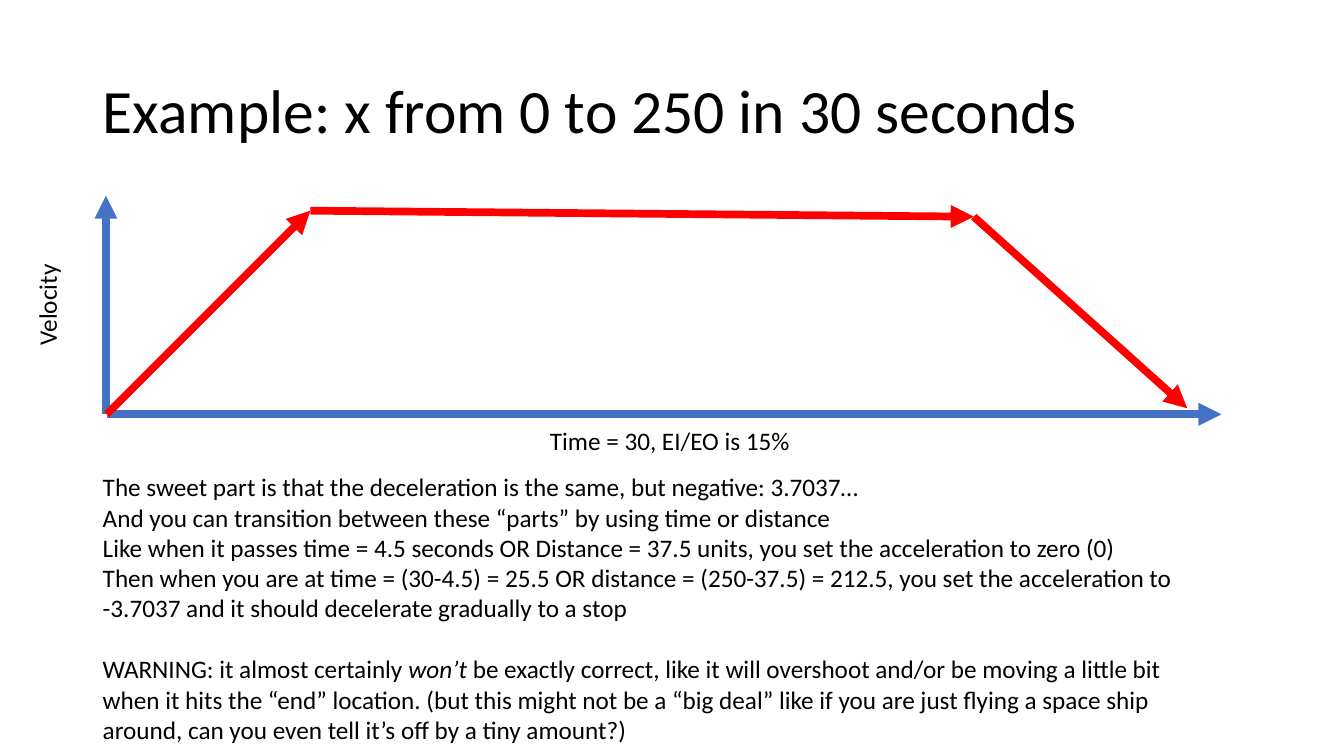
from lxml import etree
from pptx import Presentation
from pptx.dml.color import RGBColor
from pptx.enum.shapes import MSO_CONNECTOR
from pptx.enum.text import MSO_ANCHOR, MSO_AUTO_SIZE
from pptx.oxml.ns import qn
from pptx.util import Cm, Pt

COLORS = {"text": "000000", "axis": "4472C4", "velocity": "FF0000"}

prs = Presentation()
prs.slide_width, prs.slide_height = Cm(33.87), Cm(19.05)
s = prs.slides.add_slide(prs.slide_layouts[6])


def add_text(left, top, width, height, paragraphs, size=18, wrap=True):
    """Add a text box; each paragraph is a list of (text, italic) runs."""
    box = s.shapes.add_textbox(Cm(left), Cm(top), Cm(width), Cm(height))
    tf = box.text_frame
    tf.word_wrap = wrap
    for i, runs in enumerate(paragraphs):
        p = tf.add_paragraph() if i else tf.paragraphs[0]
        p.font.name, p.font.size = "Calibri", Pt(size)
        p.font.color.rgb = RGBColor.from_string(COLORS["text"])
        for text, italic in runs:
            r = p.add_run()
            r.text = text
            if italic:
                r.font.italic = True
    return box


def add_arrow(start, end, color):
    line = s.shapes.add_connector(MSO_CONNECTOR.STRAIGHT, *map(Cm, start + end))
    line.line.color.rgb = RGBColor.from_string(COLORS[color])
    line.line.width = Pt(5.5)
    etree.SubElement(line.line._get_or_add_ln(), qn("a:tailEnd"), type="triangle")
    etree.SubElement(line._element.spPr, qn("a:effectLst"))


# Title
title = add_text(2.34, 1.02, 29.21, 3.68,
                 [[("Example: x from 0 to 250 in 30 seconds", False)]], size=44)
title.text_frame.vertical_anchor = MSO_ANCHOR.MIDDLE
title.text_frame.paragraphs[0].line_spacing = 0.9

# Axes and their labels
origin = (2.69, 10.44)
add_arrow(origin, (30.78, 10.44), "axis")
add_arrow((2.67, 10.44), (2.67, 4.93), "axis")
add_text(13.61, 10.59, 6.63, 1.02, [[("Time = 30, EI/EO is 15%", False)]], wrap=False)
velocity = add_text(-0.1, 7.16, 2.57, 1.02, [[("Velocity", False)]], wrap=False)
velocity.rotation = 270

# Velocity curve: speed up, slow down, cruise
cruise_start, cruise_end = (7.82, 5.31), (24.54, 5.46)
add_arrow(origin, cruise_start, "velocity")
add_arrow(cruise_end, (29.92, 10.29), "velocity")
add_arrow(cruise_start, cruise_end, "velocity")

# Explanation
explanation = add_text(2.34, 11.76, 28.73, 7.19, [
    [("The sweet part is that the deceleration is the same, but negative: 3.7037…", False)],
    [("And you can transition between these “parts” by using time or distance", False)],
    [("Like when it passes time = 4.5 seconds OR Distance = 37.5 units, "
      "you set the acceleration to zero (0)", False)],
    [("Then when you are at time = (30-4.5) = 25.5 OR distance = (250-37.5) = 212.5, "
      "you set the acceleration to -3.7037 and it should decelerate gradually to a stop", False)],
    [("WARNING: it almost certainly ", False),
     ("won’t ", True),
     ("be exactly correct, like it will overshoot and/or be moving a little bit when it hits "
      "the “end” location. (but this might not be a “big deal” like if you are just flying a "
      "space ship around, can you even tell it’s off by a tiny amount?)", False)],
])
explanation.text_frame.auto_size = MSO_AUTO_SIZE.SHAPE_TO_FIT_TEXT
explanation.text_frame.paragraphs[-1].space_before = Pt(22)

prs.save("out.pptx")
